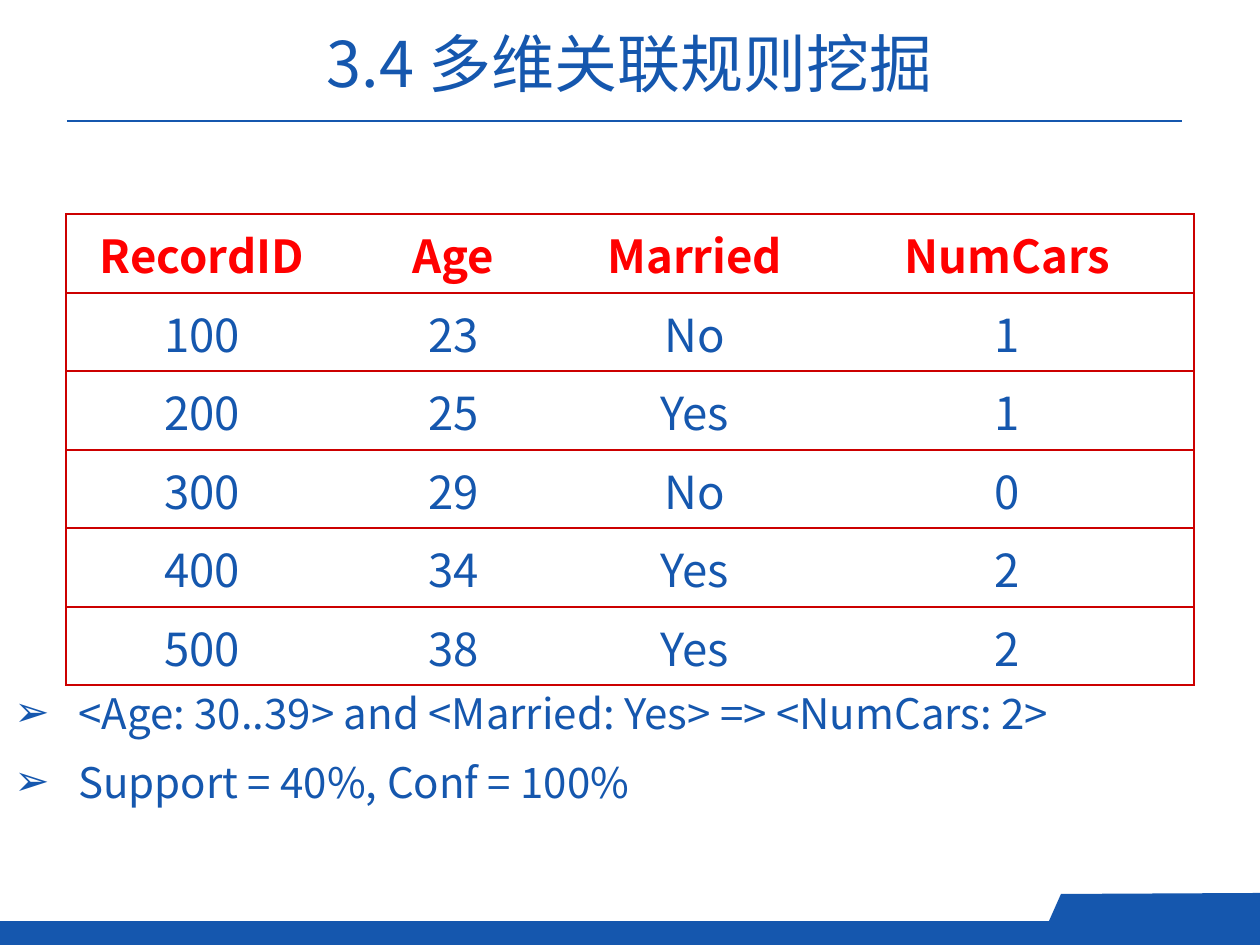
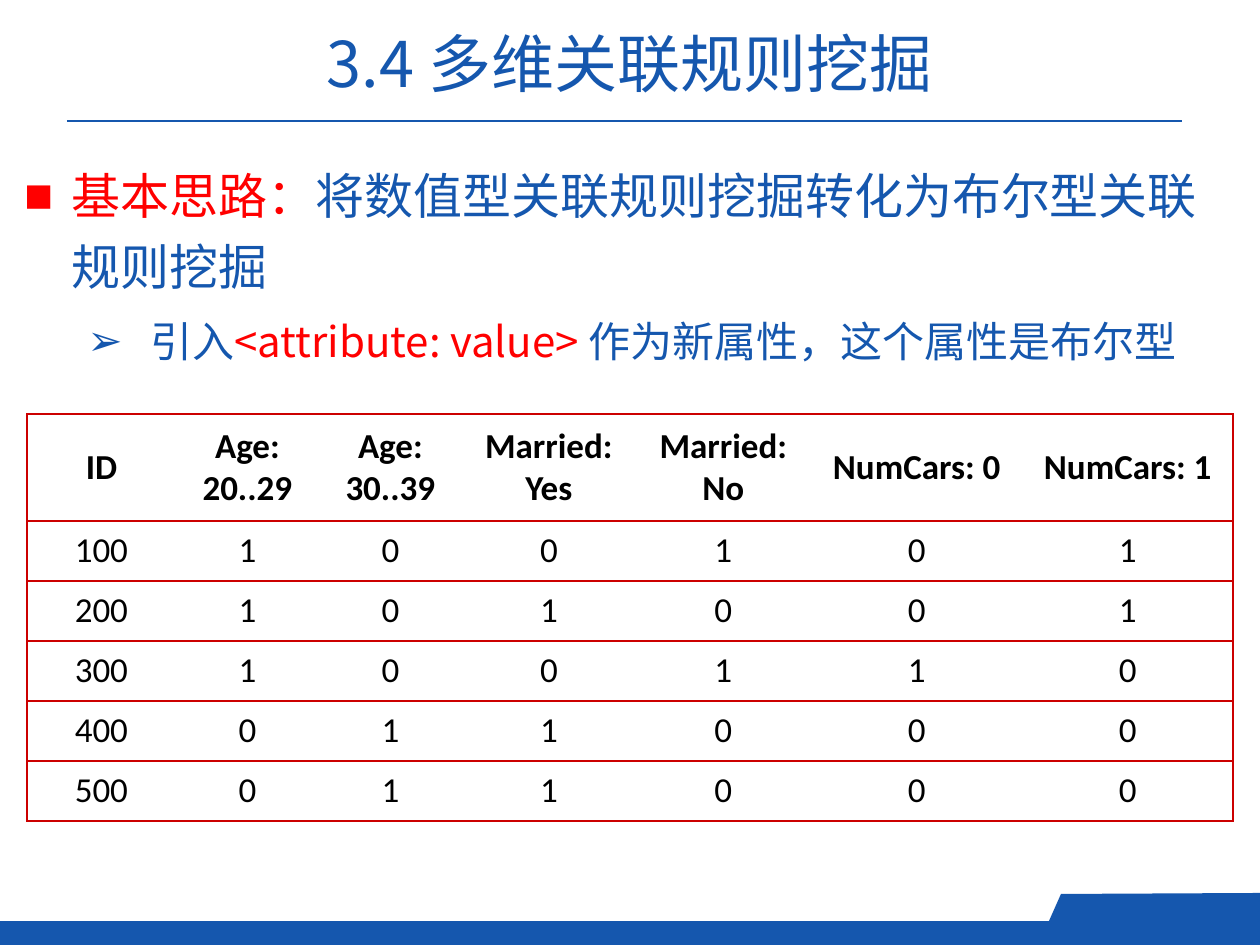
from dataclasses import dataclass

from lxml import etree
from pptx import Presentation, util as u
from pptx.dml.color import RGBColor
from pptx.enum import shapes, text
from pptx.oxml import ns


@dataclass(frozen=True)
class Theme:
    blue: str = "1557AE"
    red: str = "FF0000"
    rule: str = "CC0000"
    white: str = "FFFFFF"
    black: str = "000000"
    cjk: str = "Noto Sans CJK SC"
    latin: str = "Calibri"
    title: int = 36
    lead: int = 28
    detail: int = 24
    records: int = 26
    flags: int = 20


T = Theme()
PX = 914400 // 126
TITLE = "3.4 多维关联规则挖掘"


def px(*values):
    return [u.Emu(v * PX) for v in values]


def rgb(color):
    return RGBColor.from_string(color)


def set_all(target, **values):
    for name, value in values.items():
        setattr(target, name, value)


def sub(parent, tag, **attrs):
    return etree.SubElement(parent, ns.qn(tag), attrs)


def add_run(p, words, size, color, face=T.cjk, bold=False):
    r = p.add_run()
    r.text = words
    set_all(r.font, size=u.Pt(size), bold=bold, name=face)
    r.font.color.rgb = rgb(color)
    sub(r.font._element, "a:ea", typeface=face)


def add_bullet(p, char, percent, color, margin, hang):
    props = p._p.get_or_add_pPr()
    props.set("marL", str(margin * PX))
    props.set("indent", str(-hang * PX))
    sub(sub(props, "a:buClr"), "a:srgbClr", val=color)
    sub(props, "a:buSzPct", val=str(percent * 1000))
    sub(props, "a:buFont", typeface=T.latin)
    sub(props, "a:buChar", char=char)


def paint(sp, color):
    sp.shadow.inherit = False
    sp.fill.solid()
    sp.fill.fore_color.rgb = rgb(color)
    sp.line.fill.background()


def add_title(s, box, title):
    sp = s.shapes.title
    left, top, width, height = px(*box)
    set_all(sp, left=left, top=top, width=width, height=height)
    tf = sp.text_frame
    set_all(tf, word_wrap=True, vertical_anchor=text.MSO_ANCHOR.BOTTOM,
            auto_size=text.MSO_AUTO_SIZE.NONE)
    p = tf.paragraphs[0]
    p.alignment = text.PP_ALIGN.CENTER
    add_run(p, title, T.title, T.blue)


def add_title_rule(s, left, right, y):
    line = s.shapes.add_connector(shapes.MSO_CONNECTOR.STRAIGHT, *px(left, y, right, y))
    line.line.width = u.Pt(1.5)
    line.line.color.rgb = rgb(T.blue)
    sub(line._element.spPr, "a:effectLst")


def add_footer(s, box):
    left, top, width, height = box
    right, bottom = left + width, top + height
    band = s.shapes.add_shape(shapes.MSO_SHAPE.FLOWCHART_PROCESS, *px(*box))
    paint(band, T.blue)
    pen = s.shapes.build_freeform(right, bottom - 6, scale=PX)
    pen.add_line_segments([(right, top - 28), (right - 199, top - 27),
                           (right - 219, bottom - 6)])
    paint(pen.convert_to_shape(), T.blue)


def add_bullets(s, box, items):
    tf = s.shapes.add_textbox(*px(*box)).text_frame
    tf.word_wrap = True
    for i, (bullet, level, space, size, runs) in enumerate(items):
        p = tf.add_paragraph() if i else tf.paragraphs[0]
        add_bullet(p, *bullet)
        set_all(p, level=level, line_spacing=1.2, space_before=u.Pt(space if i else 0))
        for words, color in runs:
            add_run(p, words, size, color)


def add_borders(cell, first, last):
    props = cell._tc.get_or_add_tcPr()
    drawn = {"a:lnL": first, "a:lnR": last, "a:lnT": True, "a:lnB": True}
    for i, (side, visible) in enumerate(drawn.items()):
        line = etree.Element(ns.qn(side), w=str(u.Pt(1)))
        if visible:
            sub(sub(line, "a:solidFill"), "a:srgbClr", val=T.rule)
        else:
            sub(line, "a:noFill")
        props.insert(i, line)


def add_grid(s, left, top, widths, heights, rows, size, face, colors, anchor):
    frame = s.shapes.add_table(len(rows), len(widths),
                               *px(left, top, sum(widths), sum(heights)))
    table = frame.table
    set_all(table, first_row=False, horz_banding=False)
    for column, width in zip(table.columns, px(*widths)):
        column.width = width
    for row, height in zip(table.rows, px(*heights)):
        row.height = height
    head_color, body_color = colors
    for i, row in enumerate(rows):
        for j, words in enumerate(row):
            cell = table.cell(i, j)
            cell.fill.solid()
            cell.fill.fore_color.rgb = rgb(T.white)
            cell.vertical_anchor = anchor
            add_borders(cell, j == 0, j == len(row) - 1)
            p = cell.text_frame.paragraphs[0]
            p.alignment = text.PP_ALIGN.CENTER
            add_run(p, words, size, body_color if i else head_color, face, bold=i == 0)


def new_slide(prs):
    s = prs.slides.add_slide(prs.slide_layouts[5])
    add_title_rule(s, 67, 1182, 121)
    add_footer(s, (0, 921, 1260, 24))
    add_title(s, (78, -17, 1103, 123), TITLE)
    return s


def records_slide(prs):
    s = new_slide(prs)
    arrow = ("➢", 100, T.blue, 64, 64)
    conclusions = ("<Age: 30..39> and <Married: Yes> => <NumCars: 2>",
                   "Support = 40%, Conf = 100%")
    add_bullets(s, (2, 671, 1445, 179),
                [(arrow, 0, 5, T.detail, [(words, T.blue)]) for words in conclusions])
    rows = [("RecordID", "Age", "Married", "NumCars"),
            ("100", "23", "No", "1"),
            ("200", "25", "Yes", "1"),
            ("300", "29", "No", "0"),
            ("400", "34", "Yes", "2"),
            ("500", "38", "Yes", "2")]
    add_grid(s, 66, 214, (272, 231, 252, 373), (79, 78) * 3, rows,
             T.records, T.cjk, (T.red, T.blue), text.MSO_ANCHOR.TOP)


def boolean_slide(prs):
    s = new_slide(prs)
    square = ("■", 62, T.red, 47, 47)
    arrow = ("➢", 100, T.blue, 126, 63)
    idea = [("基本思路：", T.red),
            ("将数值型关联规则挖掘转化为布尔型关联规则挖掘", T.blue)]
    step = [("引入", T.blue), ("<attribute: value> ", T.red),
            ("作为新属性，这个属性是布尔型", T.blue)]
    add_bullets(s, (12, 148, 1236, 223),
                [(square, 0, 6, T.lead, idea), (arrow, 1, 6, T.detail, step)])
    rows = [("ID", "Age: 20..29", "Age: 30..39", "Married: Yes", "Married: No",
             "NumCars: 0", "NumCars: 1"),
            ("100", *"100101"),
            ("200", *"101001"),
            ("300", *"100110"),
            ("400", *"011000"),
            ("500", *"011000")]
    add_grid(s, 27, 414, (149, 143, 143, 174, 175, 212, 210), (107, *[60] * 5), rows,
             T.flags, T.latin, (T.black, T.black), text.MSO_ANCHOR.MIDDLE)


def main():
    prs = Presentation()
    prs.slide_width, prs.slide_height = px(1260, 945)
    records_slide(prs)
    boolean_slide(prs)
    prs.save("out.pptx")


if __name__ == "__main__":
    main()
